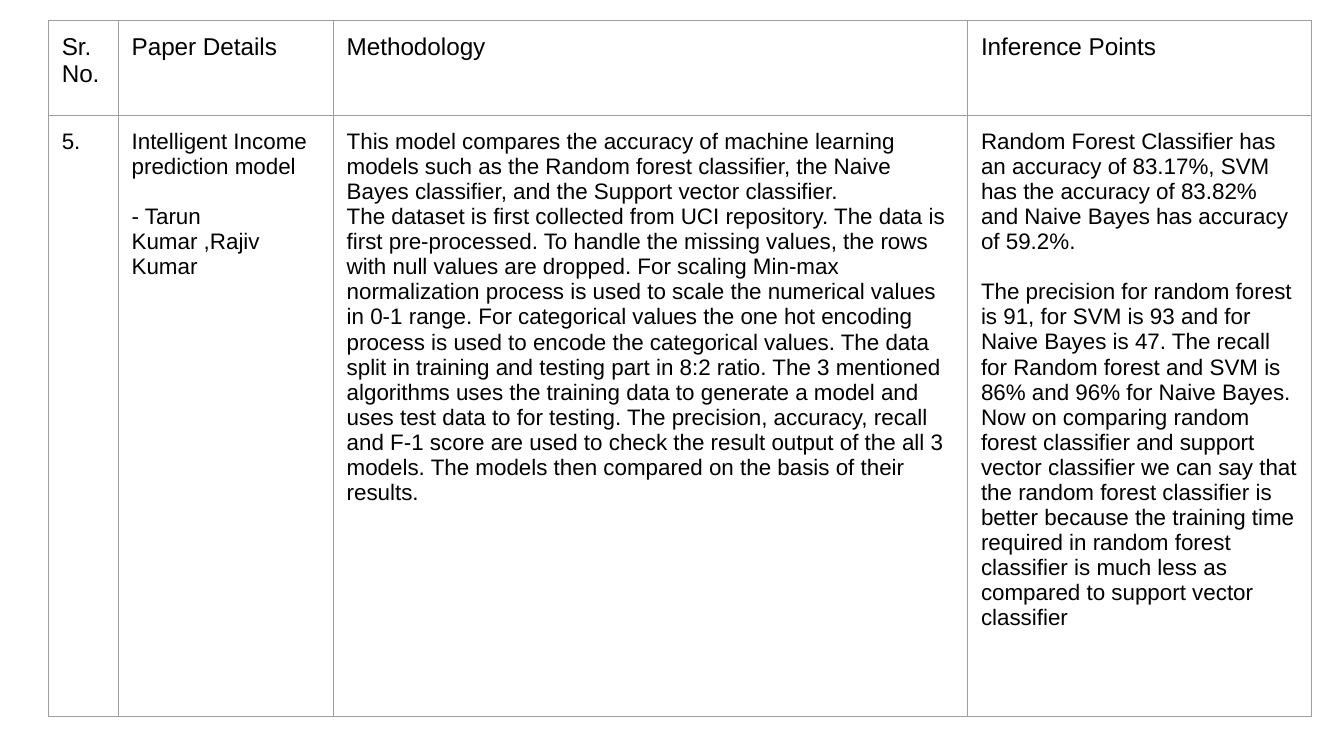
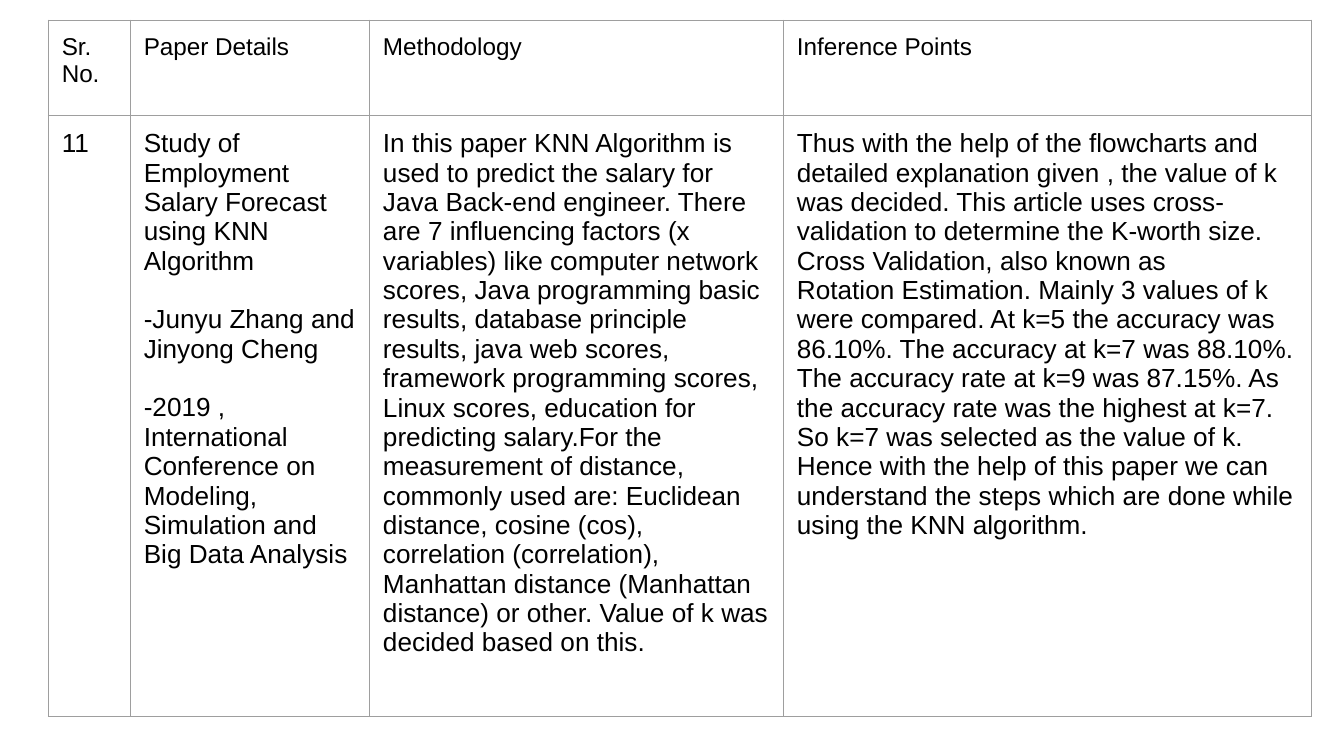
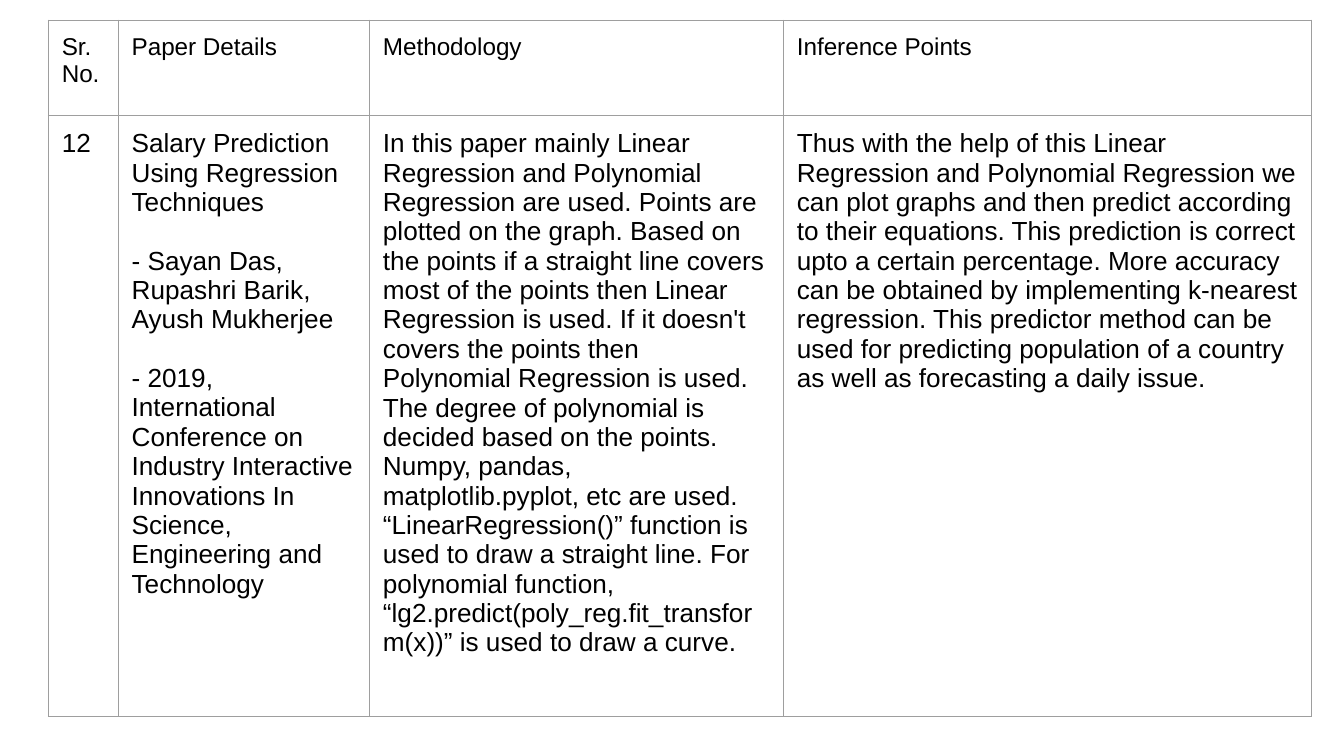
from dataclasses import dataclass

from lxml import etree
from pptx import Presentation
from pptx.dml.color import RGBColor
from pptx.oxml.ns import qn
from pptx.util import Inches, Pt

COLORS = {"text": "000000", "border": "9E9E9E"}
FONT = "Arial"
HEADER_SIZE = 13
HEADERS = ["Sr. No.", "Paper Details", "Methodology", "Inference Points"]
BLANK_LAYOUT = 6
SLIDE_WIDTH = Inches(10)
SLIDE_HEIGHT = SLIDE_WIDTH * 9 // 16
BORDER_WIDTH = Pt(0.75)
BORDER_TAGS = ("a:lnL", "a:lnR", "a:lnT", "a:lnB")
CELL_MARGIN = Inches(0.1)
TABLE_LEFT, TABLE_TOP, TABLE_WIDTH = 0.36, 0.15, 9.4
ROW_HEIGHTS = (0.71, 4.47)
BLOCK_GAP = 1.12  # space between blocks, as a multiple of the text size


@dataclass
class Paper:
    """One reviewed paper; each text column is a list of blocks of paragraphs."""
    number: str
    details: list
    methodology: list
    inference: list
    text_size: int
    leading_widths: tuple


PAPERS = [
    Paper(
        number="5.",
        details=[
            ["Intelligent Income prediction model"],
            ["- Tarun Kumar ,Rajiv Kumar"],
        ],
        methodology=[[
            "This model compares the accuracy of machine learning models such as the Random "
            "forest classifier, the Naive Bayes classifier, and the Support vector classifier.",
            "The dataset is first collected from UCI repository. The data is first "
            "pre-processed. To handle the missing values, the rows with null values are "
            "dropped. For scaling Min-max normalization process is used to scale the numerical "
            "values in 0-1 range. For categorical values the one hot encoding process is used "
            "to encode the categorical values. The data split in training and testing part in "
            "8:2 ratio. The 3 mentioned algorithms uses the training data to generate a model "
            "and uses test data to for testing. The precision, accuracy, recall and F-1 score "
            "are used to check the result output of the all 3 models. The models then compared "
            "on the basis of their results.",
        ]],
        inference=[
            ["Random Forest Classifier has an accuracy of 83.17%, SVM has the accuracy of "
             "83.82% and Naive Bayes has accuracy of 59.2%."],
            ["The precision for random forest is 91, for SVM is 93 and for Naive Bayes is 47. "
             "The recall for Random forest and SVM is 86% and 96% for Naive Bayes.",
             "Now on comparing random forest classifier and support vector classifier we can "
             "say that the random forest classifier is better because the training time "
             "required in random forest classifier is much less as compared to support vector "
             "classifier"],
        ],
        text_size=12,
        leading_widths=(0.52, 1.6, 4.72),
    ),
    Paper(
        number="11",
        details=[
            ["Study of Employment Salary Forecast using KNN Algorithm"],
            ["-Junyu Zhang and Jinyong Cheng"],
            ["-2019 , International Conference on Modeling, Simulation and Big Data Analysis"],
        ],
        methodology=[[
            "In this paper KNN Algorithm is used to predict the salary for Java Back-end "
            "engineer. There are 7 influencing factors (x variables) like computer network "
            "scores, Java programming basic results, database principle results, java web "
            "scores, framework programming scores, Linux scores, education for predicting "
            "salary.For the measurement of distance, commonly used are: Euclidean distance, "
            "cosine (cos), correlation (correlation), Manhattan distance (Manhattan distance) "
            "or other. Value of k was decided based on this.",
        ]],
        inference=[[
            "Thus with the help of the flowcharts and detailed explanation given , the value "
            "of k was decided. This article uses cross-validation to determine the K-worth "
            "size. Cross Validation, also known as",
            "Rotation Estimation. Mainly 3 values of k were compared. At k=5 the accuracy was "
            "86.10%. The accuracy at k=7 was 88.10%. The accuracy rate at k=9 was 87.15%. As "
            "the accuracy rate was the highest at k=7. So k=7 was selected as the value of k.",
            "Hence with the help of this paper we can understand the steps which are done "
            "while using the KNN algorithm.",
        ]],
        text_size=14,
        leading_widths=(0.61, 1.78, 3.08),
    ),
    Paper(
        number="12",
        details=[
            ["Salary Prediction Using Regression Techniques"],
            ["- Sayan Das, Rupashri Barik, Ayush Mukherjee"],
            ["- 2019, International Conference on Industry Interactive Innovations In Science, "
             "Engineering and",
             "Technology"],
        ],
        methodology=[[
            "In this paper mainly Linear Regression and Polynomial Regression are used. Points "
            "are plotted on the graph. Based on the points if a straight line covers most of "
            "the points then Linear Regression is used. If it doesn't covers the points then "
            "Polynomial Regression is used. The degree of polynomial is decided based on the "
            "points. Numpy, pandas, matplotlib.pyplot, etc are used. “LinearRegression()” "
            "function is used to draw a straight line. For polynomial function, "
            "“lg2.predict(poly_reg.fit_transform(x))” is used to draw a curve.",
        ]],
        inference=[[
            "Thus with the help of this Linear Regression and Polynomial Regression we can "
            "plot graphs and then predict according to their equations. This prediction is "
            "correct upto a certain percentage. More accuracy can be obtained by implementing "
            "k-nearest regression. This predictor method can be used for predicting population "
            "of a country as well as forecasting a daily issue.",
        ]],
        text_size=14,
        leading_widths=(0.52, 1.87, 3.08),
    ),
]


class ReviewDeck:
    """Holds the presentation, its current slide and the table style."""

    def __init__(self):
        self.presentation = Presentation()
        self.presentation.slide_width = SLIDE_WIDTH
        self.presentation.slide_height = SLIDE_HEIGHT
        self.slide = None

    def add_slide(self):
        layout = self.presentation.slide_layouts[BLANK_LAYOUT]
        self.slide = self.presentation.slides.add_slide(layout)

    def add_paper_table(self, paper):
        widths = (*paper.leading_widths, TABLE_WIDTH - sum(paper.leading_widths))
        table = self.slide.shapes.add_table(
            len(ROW_HEIGHTS), len(HEADERS), Inches(TABLE_LEFT), Inches(TABLE_TOP),
            Inches(TABLE_WIDTH), Inches(sum(ROW_HEIGHTS))).table
        table.first_row = False
        table.horz_banding = False
        for row, height in zip(table.rows, ROW_HEIGHTS):
            row.height = Inches(height)
        for column, width in zip(table.columns, widths):
            column.width = Inches(width)

        contents = [[[paper.number]], paper.details, paper.methodology, paper.inference]
        for index, (header, blocks) in enumerate(zip(HEADERS, contents)):
            self.fill_cell(table.cell(0, index), [[header]], HEADER_SIZE)
            self.fill_cell(table.cell(1, index), blocks, paper.text_size)

    def fill_cell(self, cell, blocks, size):
        cell.margin_left = cell.margin_right = CELL_MARGIN
        cell.margin_top = cell.margin_bottom = CELL_MARGIN
        self.add_borders(cell)
        cell.fill.background()
        cell.text_frame.text = "\n".join(text for block in blocks for text in block)
        for paragraph in cell.text_frame.paragraphs:
            for run in paragraph.runs:
                run.font.name = FONT
                run.font.size = Pt(size)
                run.font.color.rgb = RGBColor.from_string(COLORS["text"])
        start = 0
        for block in blocks[:-1]:
            start += len(block)
            cell.text_frame.paragraphs[start].space_before = Pt(round(size * BLOCK_GAP, 1))

    def add_borders(self, cell):
        properties = cell._tc.get_or_add_tcPr()
        for tag in BORDER_TAGS:
            line = etree.SubElement(properties, qn(tag), w=str(BORDER_WIDTH))
            fill = etree.SubElement(line, qn("a:solidFill"))
            etree.SubElement(fill, qn("a:srgbClr"), val=COLORS["border"])


def main():
    deck = ReviewDeck()
    for paper in PAPERS:
        deck.add_slide()
        deck.add_paper_table(paper)
    deck.presentation.save("out.pptx")


if __name__ == "__main__":
    main()
